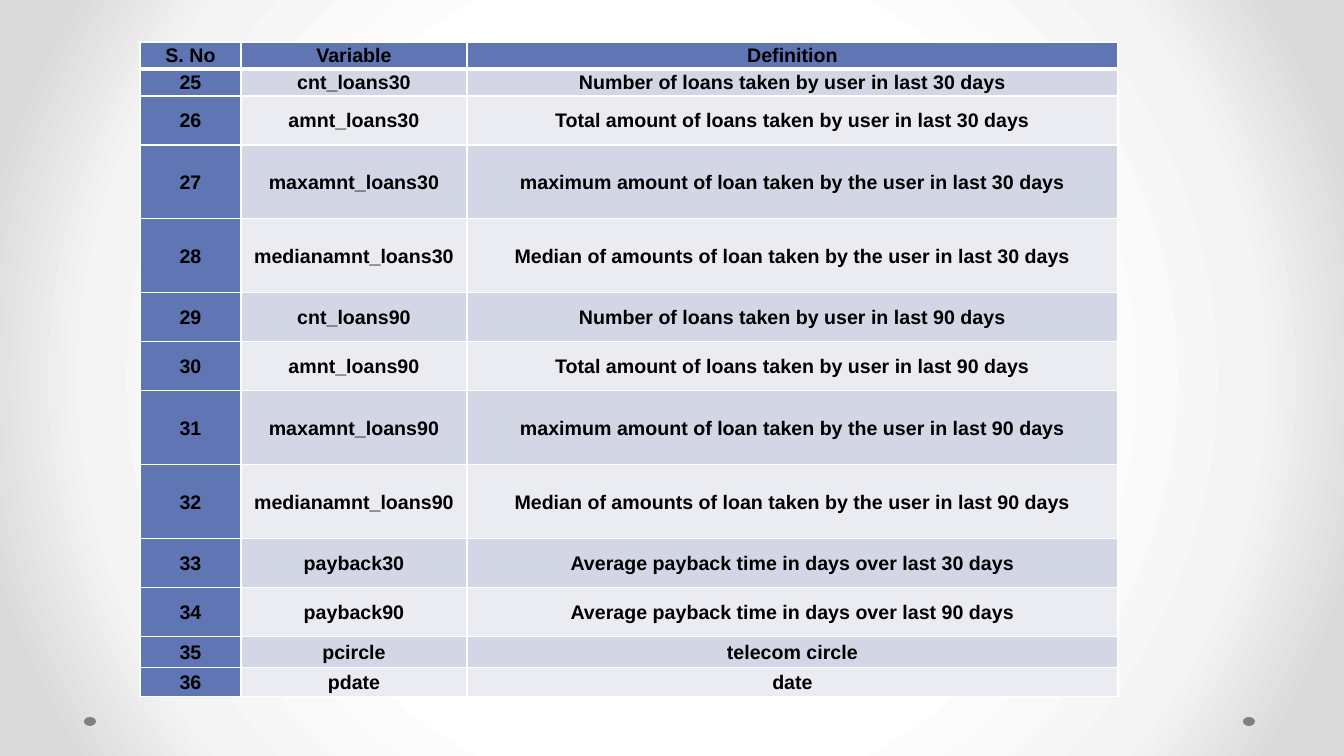
from lxml import etree
from pptx import Presentation
from pptx import util as u
from pptx.dml.color import RGBColor
from pptx.enum import shapes, text
from pptx.oxml import parse_xml
from pptx.oxml.ns import nsdecls, qn

HEAD = ("S. No", "Variable", "Definition")
FIRST = 25
ROWS = [
    ("cnt_loans30", "Number of loans taken by user in last 30 days", 27),
    ("amnt_loans30", "Total amount of loans taken by user in last 30 days", 49),
    ("maxamnt_loans30", "maximum amount of loan taken by the user in last 30 days", 74),
    ("medianamnt_loans30", "Median of amounts of loan taken by the user in last 30 days", 74),
    ("cnt_loans90", "Number of loans taken by user in last 90 days", 49),
    ("amnt_loans90", "Total amount of loans taken by user in last 90 days", 49),
    ("maxamnt_loans90", "maximum amount of loan taken by the user in last 90 days", 74),
    ("medianamnt_loans90", "Median of amounts of loan taken by the user in last 90 days", 74),
    ("payback30", "Average payback time in days over last 30 days", 49),
    ("payback90", "Average payback time in days over last 90 days", 49),
    ("pcircle", "telecom circle", 31),
    ("pdate", "date", 29),
]
COLS = (101, 226, 651)
TOP_H = 27
LEFT, TOP = 140, 42
DOTS = (1243, 84)
DOT_Y, DOT_W, DOT_H = 717, 12, 9
BLUE, BANDS = "6076B4", ("D2D6E5", "EAECF2")
STOPS = ((50, "FFFFFF"), (76, "F4F4F4"), (92, "DADADA"))


def px(n):
    return u.Emu(round(n * 914400 / 100.8))


def rgb(code):
    return RGBColor.from_string(code)


def paint(fill, code):
    fill.solid()
    fill.fore_color.rgb = rgb(code)


def write(cell, words, size=14, font="Arial", color="000000", bold=True):
    cell.margin_left = cell.margin_right = cell.margin_top = px(1)
    cell.margin_bottom = 0
    cell.vertical_anchor = text.MSO_ANCHOR.MIDDLE
    para = cell.text_frame.paragraphs[0]
    para.alignment = text.PP_ALIGN.CENTER
    run = para.add_run()
    run.text = words
    run.font.size, run.font.name, run.font.bold = u.Pt(size), font, bold
    run.font.color.rgb = rgb(color)


def edge(cell, top=1, bottom=1, color="FFFFFF"):
    props = cell._tc.get_or_add_tcPr()
    sides = (("L", 1), ("R", 1), ("T", top), ("B", bottom))
    for i, (side, width) in enumerate(sides):
        props.insert(i, parse_xml(
            f'<a:ln{side} {nsdecls("a")} w="{u.Pt(width)}"><a:solidFill>'
            f'<a:srgbClr val="{color}"/></a:solidFill></a:ln{side}>'))


def shade(slide):
    slide.background.fill.gradient()
    grad = slide.element.find(".//" + qn("a:gradFill"))
    for kid in list(grad):
        grad.remove(kid)
    stops = etree.SubElement(grad, qn("a:gsLst"))
    for spot, code in STOPS:
        stop = etree.SubElement(stops, qn("a:gs"), pos=str(spot * 1000))
        etree.SubElement(stop, qn("a:srgbClr"), val=code)
    way = etree.SubElement(grad, qn("a:path"), path="circle")
    etree.SubElement(way, qn("a:fillToRect"), dict.fromkeys("ltrb", "50000"))


def main():
    deck = Presentation()
    deck.slide_width, deck.slide_height = px(1344), px(756)
    slide = deck.slides.add_slide(deck.slide_layouts[6])
    shade(slide)

    for x in DOTS:
        dot = slide.shapes.add_shape(
            shapes.MSO_SHAPE.OVAL, px(x), px(DOT_Y), px(DOT_W), px(DOT_H))
        dot.shadow.inherit = False
        paint(dot.fill, "808080")
        dot.line.fill.background()

    lines = [HEAD] + [(str(n), name, note)
                      for n, (name, note, _) in enumerate(ROWS, FIRST)]
    tall = [TOP_H] + [row[2] for row in ROWS]
    table = slide.shapes.add_table(
        len(lines), len(COLS), px(LEFT), px(TOP),
        px(sum(COLS)), px(sum(tall))).table
    for col, wide in zip(table.columns, COLS):
        col.width = px(wide)
    for r, line in enumerate(lines):
        table.rows[r].height = px(tall[r])
        for c, words in enumerate(line):
            cell = table.cell(r, c)
            write(cell, words)
            paint(cell.fill, BLUE if r == 0 or c == 0 else BANDS[(r - 1) % 2])
            edge(cell, top=3 if r == 1 else 1, bottom=3 if r == 0 else 1)

    deck.save("out.pptx")


if __name__ == "__main__":
    main()
